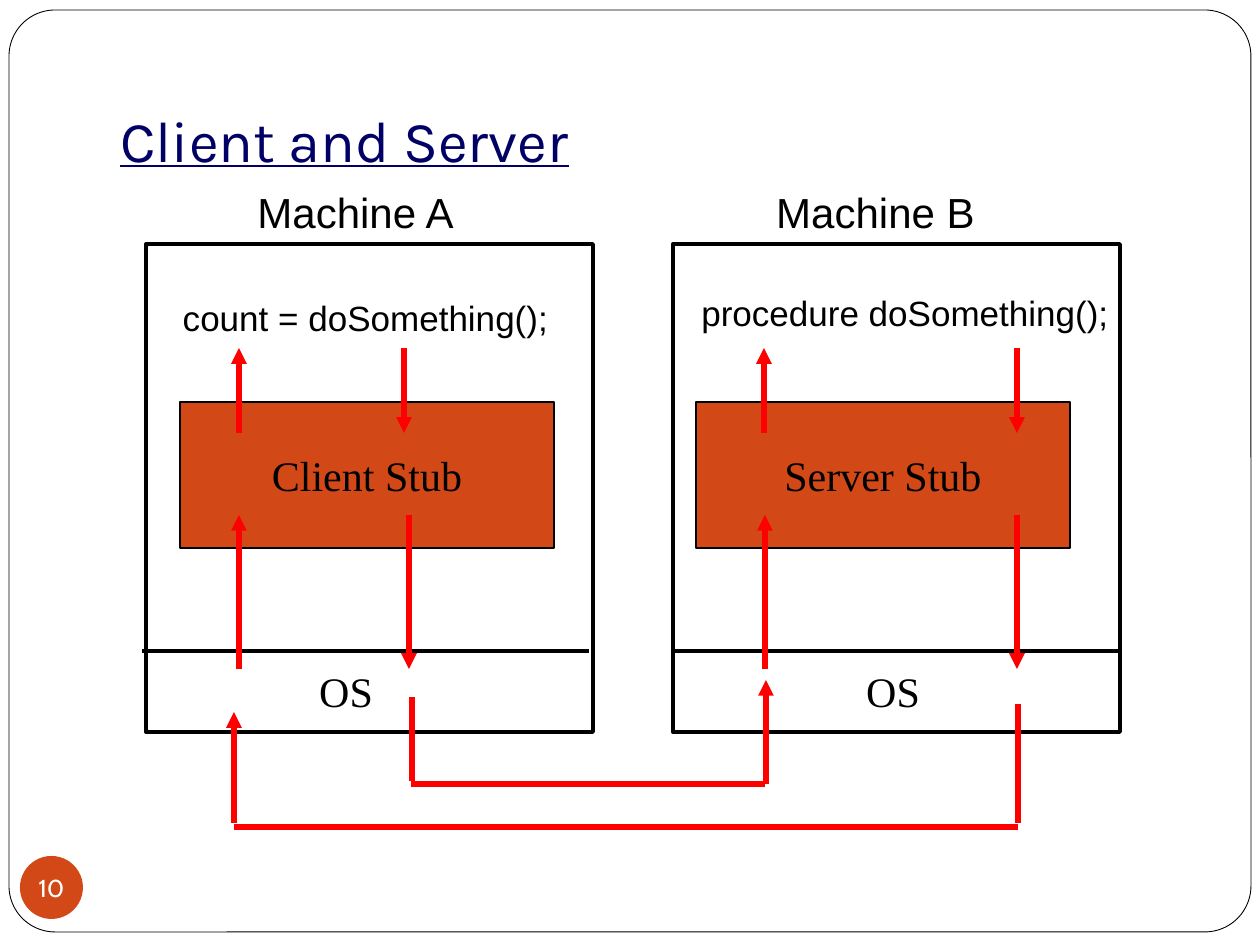
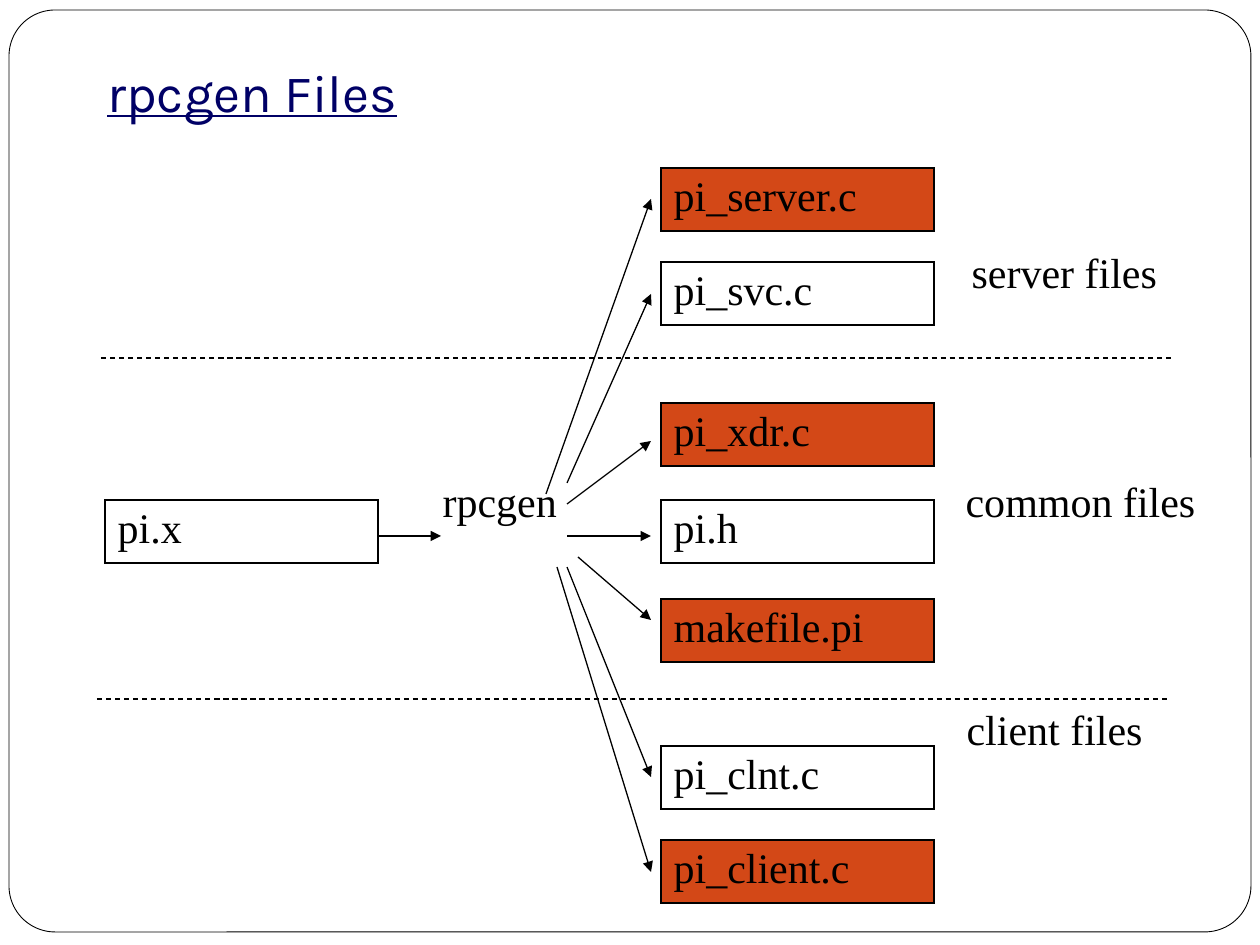
from lxml.etree import SubElement
from pptx import Presentation
from pptx.dml.color import RGBColor
from pptx.enum.dml import MSO_LINE
from pptx.enum.shapes import MSO_CONNECTOR, MSO_SHAPE
from pptx.enum.text import MSO_ANCHOR, MSO_AUTO_SIZE, PP_ALIGN
from pptx.oxml.ns import qn
from pptx.util import Emu, Pt

EMU_PER_PX = 914400 / 126
BLACK, WHITE, NAVY, ORANGE, RED = "000000", "FFFFFF", "000066", "D34817", "FF0000"
SERIF, SANS, TITLE_FONT, NUMBER_FONT = "Times New Roman", "Arial", "Karla", "Cabin"

MACHINES = [
    {"name": ("Machine A", 242), "frame": 146, "divider": 142,
     "code": ("count = doSomething();", 168, 290, 395),
     "stub": ("Client Stub", 180), "os": 305,
     "up": (239, 239), "down": (404, 409)},
    {"name": ("Machine B", 762), "frame": 673, "divider": 674,
     "code": ("procedure doSomething();", 687, 285, 436),
     "stub": ("Server Stub", 696), "os": 852,
     "up": (764, 765), "down": (1017, 1017)},
]
CALL_SPANS = [(348, 433), (515, 669)]
NETWORK_LINKS = [
    ((412, 697), (412, 781), False),
    ((411, 784), (765, 784), False),
    ((766, 784), (766, 680), True),
    ((1018, 704), (1018, 823), False),
    ((1018, 827), (234, 827), False),
    ((234, 823), (234, 712), True),
]

SOURCE_FILE = ("pi.x", 500, None)
GENERATED_FILES = [
    ("pi_server.c", 168, ORANGE),
    ("pi_svc.c", 262, None),
    ("pi_xdr.c", 403, ORANGE),
    ("pi.h", 500, None),
    ("makefile.pi", 599, ORANGE),
    ("pi_clnt.c", 746, None),
    ("pi_client.c", 840, ORANGE),
]
ARROW_STARTS = [(546, 494), (567, 483), (567, 504), (567, 536),
                (578, 557), (567, 567), (557, 567)]
ARROW_ENDS_Y = [199, 294, 441, 536, 620, 777, 872]
STAGES_BOX = (42, 179, 1187, 735)
STAGES_TOP_MARGIN = 72
STAGES = [
    ("\tserver files", 0, [917]),
    ("\trpcgen\tcommon files", 183, [388, 911]),
    ("\tclient files", 181, [912]),
]
SECTION_RULES = [(101, 358), (97, 699)]
RULE_WIDTH = 1071


def px(*lengths):
    return [Emu(round(length * EMU_PER_PX)) for length in lengths]


def rgb(color):
    return RGBColor.from_string(color)


def style(paragraph, size, font, color=BLACK):
    run_font = paragraph.runs[0].font
    run_font.size, run_font.name = Pt(size), font
    run_font.color.rgb = rgb(color)
    return run_font


def write(frame, text, size, font, color=BLACK, align=PP_ALIGN.LEFT):
    frame.text = text
    frame.paragraphs[0].alignment = align
    return style(frame.paragraphs[0], size, font, color)


def add_label(slide, text, box, size=24, font=SERIF):
    frame = slide.shapes.add_textbox(*px(*box)).text_frame
    frame.word_wrap = False
    frame.auto_size = MSO_AUTO_SIZE.SHAPE_TO_FIT_TEXT
    write(frame, text, size, font, align=PP_ALIGN.CENTER)


def add_box(slide, kind, box, fill=None, line=BLACK, width=0.75):
    shape = slide.shapes.add_shape(kind, *px(*box))
    shape.shadow.inherit = False
    if fill:
        shape.fill.solid()
        shape.fill.fore_color.rgb = rgb(fill)
    else:
        shape.fill.background()
    if line:
        shape.line.color.rgb = rgb(line)
        shape.line.width = Pt(width)
    else:
        shape.line.fill.background()
    return shape


def write_in_shape(shape, text, size, font, color):
    frame = shape.text_frame
    frame.word_wrap = False
    frame.vertical_anchor = MSO_ANCHOR.MIDDLE
    write(frame, text, size, font, color, PP_ALIGN.CENTER)


def add_line(slide, start, end, color=BLACK, width=0.75, arrow=False, dash=None):
    connector = slide.shapes.add_connector(MSO_CONNECTOR.STRAIGHT, *px(*start, *end))
    connector.line.color.rgb = rgb(color)
    connector.line.width = Pt(width)
    if dash:
        connector.line.dash_style = dash
    if arrow:
        SubElement(connector.line._get_or_add_ln(), qn("a:tailEnd"), type="triangle")
    SubElement(connector._element.spPr, qn("a:effectLst"))


def add_cell(slide, box, fill=None, border=None):
    table = slide.shapes.add_table(1, 1, *px(*box)).table
    table.first_row = table.horz_banding = False
    cell = table.cell(0, 0)
    properties = cell._tc.get_or_add_tcPr()
    for side in ("lnL", "lnR", "lnT", "lnB"):
        edge = SubElement(properties, qn(f"a:{side}"), w=str(Pt(1.08)))
        if border:
            solid = SubElement(edge, qn("a:solidFill"))
            SubElement(solid, qn("a:srgbClr"), val=border)
        else:
            SubElement(edge, qn("a:noFill"))
    if fill:
        cell.fill.solid()
        cell.fill.fore_color.rgb = rgb(fill)
    else:
        cell.fill.background()
    return cell


def add_file(slide, left, file):
    name, top, fill = file
    cell = add_cell(slide, (left, top, 273, 63), fill, BLACK)
    write(cell.text_frame, name, 24, SERIF)


def add_stages(slide):
    cell = add_cell(slide, STAGES_BOX)
    cell.margin_top = px(STAGES_TOP_MARGIN)[0]
    frame = cell.text_frame
    frame.text = "\n".join(text for text, _, _ in STAGES)
    for paragraph, (_, gap, stops) in zip(frame.paragraphs, STAGES):
        tabs = SubElement(paragraph._p.get_or_add_pPr(), qn("a:tabLst"))
        for stop in px(*stops):
            SubElement(tabs, qn("a:tab"), pos=str(stop), algn="l")
        if gap:
            paragraph.space_before = px(gap)[0]
        style(paragraph, 24, SERIF)


def add_slide(deck, title, title_box, title_size):
    slide = deck.slides.add_slide(deck.slide_layouts[6])
    border = add_box(slide, MSO_SHAPE.ROUNDED_RECTANGLE, (9, 10, 1242, 922), WHITE, width=0.5)
    border.adjustments[0] = 0.05
    frame = slide.shapes.add_textbox(*px(*title_box)).text_frame
    frame.word_wrap = True
    frame.vertical_anchor = MSO_ANCHOR.BOTTOM
    frame.margin_bottom = px(13)[0]
    write(frame, title, title_size, TITLE_FONT, NAVY).underline = True
    return slide


def add_machine(slide, machine):
    add_box(slide, MSO_SHAPE.RECTANGLE, (machine["frame"], 244, 447, 488), width=2.25)
    code, left, top, width = machine["code"]
    add_label(slide, code, (left, top, width, 55), 20, SANS)
    divider = machine["divider"]
    add_line(slide, (divider, 651), (divider + 447, 651), width=2.25)
    add_label(slide, "OS", (machine["os"], 659, 82, 63))
    stub_name, left = machine["stub"]
    stub = add_box(slide, MSO_SHAPE.RECTANGLE, (left, 402, 374, 146), ORANGE)
    write_in_shape(stub, stub_name, 24, SERIF, BLACK)
    for (top, bottom), up, down in zip(CALL_SPANS, machine["up"], machine["down"]):
        add_line(slide, (up, bottom), (up, top), RED, 3, arrow=True)
        add_line(slide, (down, top), (down, bottom), RED, 3, arrow=True)
    name, left = machine["name"]
    add_label(slide, name, (left, 180, 227, 63), font=SANS)


def add_client_server(deck):
    slide = add_slide(deck, "Client and Server", (108, 29, 1071, 158), 33)
    badge = add_box(slide, MSO_SHAPE.OVAL, (20, 856, 63, 63), ORANGE, None)
    frame = badge.text_frame
    frame.margin_left = frame.margin_right = frame.margin_top = frame.margin_bottom = 0
    write_in_shape(badge, "10", 14, NUMBER_FONT, WHITE)
    for machine in MACHINES:
        add_machine(slide, machine)
    for start, end, arrow in NETWORK_LINKS:
        add_line(slide, start, end, RED, 3, arrow)


def add_rpcgen_files(deck):
    slide = add_slide(deck, "rpcgen Files", (95, 42, 1071, 94), 30)
    add_stages(slide)
    add_file(slide, 105, SOURCE_FILE)
    for file in GENERATED_FILES:
        add_file(slide, 661, file)
    for left, y in SECTION_RULES:
        add_line(slide, (left, y), (left + RULE_WIDTH, y), dash=MSO_LINE.DASH)
    add_line(slide, (378, 536), (441, 536), arrow=True)
    for start, end_y in zip(ARROW_STARTS, ARROW_ENDS_Y):
        add_line(slide, start, (651, end_y), arrow=True)


def main():
    deck = Presentation()
    deck.slide_width, deck.slide_height = px(1260, 945)
    add_client_server(deck)
    add_rpcgen_files(deck)
    deck.save("out.pptx")


if __name__ == "__main__":
    main()
